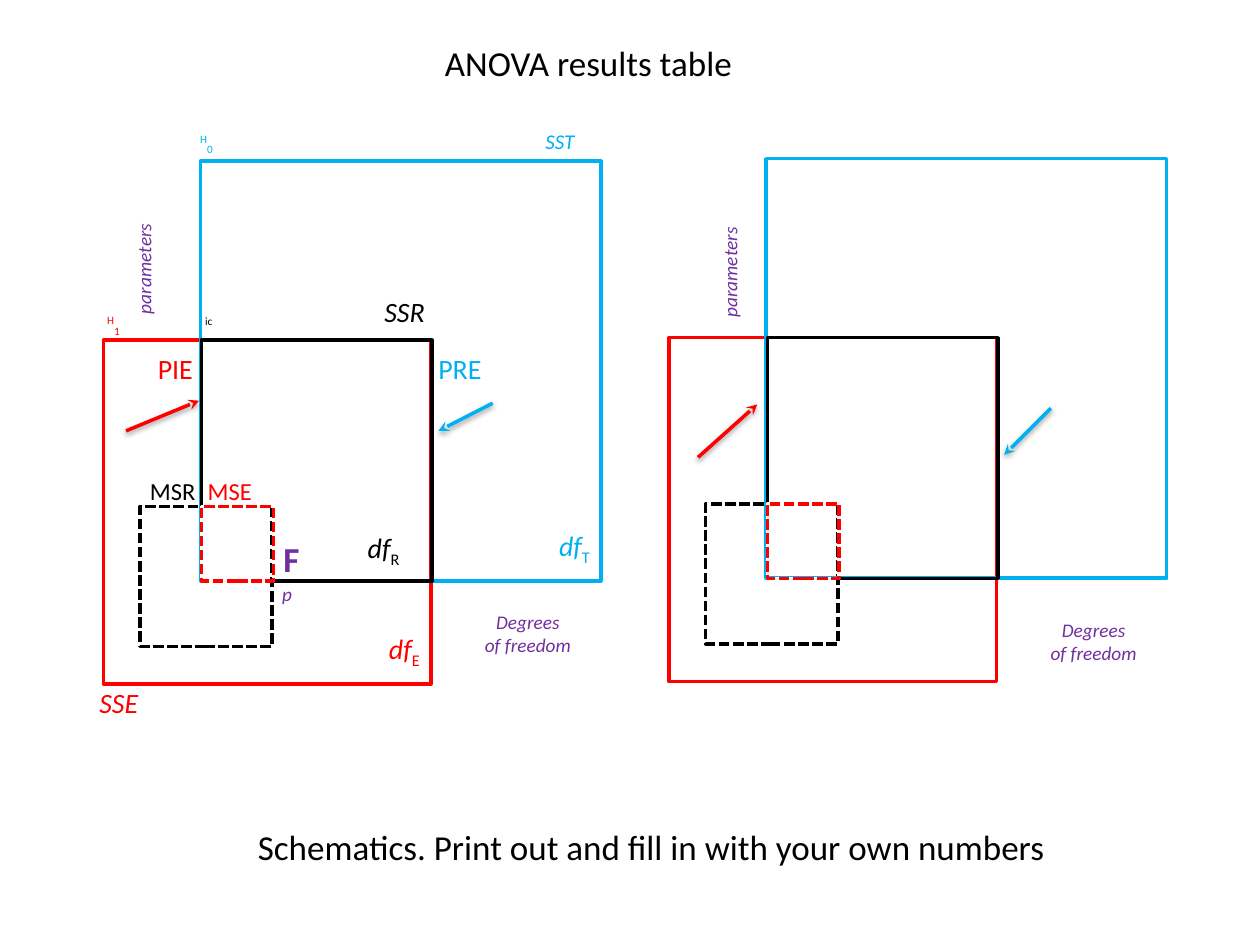
from lxml import etree
from pptx import Presentation
from pptx import util as u
from pptx.dml.color import RGBColor
from pptx.enum import dml, shapes, text
from pptx.oxml.ns import qn

HUES = {"black": "000000", "white": "FFFFFF", "red": "FF0000",
        "blue": "00B0F0", "plum": "7030A0"}
SIDES = {"l": text.PP_ALIGN.LEFT, "c": text.PP_ALIGN.CENTER, "r": text.PP_ALIGN.RIGHT}
ROWS = {"t": text.MSO_ANCHOR.TOP, "m": text.MSO_ANCHOR.MIDDLE, "b": text.MSO_ANCHOR.BOTTOM}
SHIFT = (4.49, -0.02)

LABELS = [
    ((3.38, 2.74, 0.82, 0.44), "PRE", 16, "blue", "l", "t", False),
    ((0.69, 5.39, 0.79, 0.36), "SSE", 16, "red", "l", "t", True),
    ((2.48, 2.29, 0.99, 0.36), "SSR", 16, "black", "r", "t", True),
    ((4.23, 0.97, 0.79, 0.36), "SST", 12, "blue", "l", "t", True),
    ((2.14, 4.57, 0.61, 0.43), "p", 11, "plum", "l", "t", True),
    ((1.53, 2.35, 0.63, 0.43), [("ic", 30)], 11, "black", "l", "m", False),
    ((0.81, 2.74, 0.82, 0.44), "PIE", 16, "red", "r", "t", False),
    ((1.55, 3.55, 0.9, 0.51), "MSE", 14, "red", "l", "b", False),
    ((0.77, 3.55, 0.88, 0.51), "MSR", 14, "black", "r", "b", False),
]
DEGREES = [
    ((3.84, 4.13, 0.94, 0.43), "T", "blue", "r"),
    ((2.56, 4.95, 0.87, 0.43), "E", "red", "r"),
    ((2.82, 4.15, 0.63, 0.43), "R", "black", "l"),
]
MODELS = [
    ((0.42, 2.36, 0.63, 0.43), "1", "red", "r"),
    ((1.49, 0.92, 0.63, 0.43), "0", "blue", "l"),
]
FRAMES = [
    ((0.82, 2.7, 2.6, 2.73), "red", False),
    ((1.11, 4.02, 1.05, 1.11), "black", True),
    ((1.59, 1.28, 3.18, 3.33), "blue", False),
    ((1.6, 2.7, 1.83, 1.91), "black", False),
    ((1.6, 4.02, 0.57, 0.59), "white", False),
    ((1.6, 4.02, 0.57, 0.59), "red", True),
]
ARROWS = [
    ((8.34, 3.24), (7.97, 3.61), "blue"),
    ((5.54, 3.63), (6.01, 3.21), "red"),
    ((3.91, 3.2), (3.48, 3.42), "blue"),
    ((1, 3.42), (1.58, 3.18), "red"),
]


class Sheet:
    """Hold the style and the current slide, and draw each kind of element."""

    face = "Calibri"
    weight = u.Pt(2)

    def __init__(self, slide):
        self.slide = slide

    def hue(self, name):
        return RGBColor.from_string(HUES[name])

    def style(self, run, size, hue, slant=False, bold=False):
        font = run.font
        font.name, font.size = self.face, u.Pt(size)
        font.italic, font.bold = slant, bold
        font.color.rgb = self.hue(hue)

    def rect(self, box):
        item = self.slide.shapes.add_shape(
            shapes.MSO_SHAPE.RECTANGLE, *map(u.Inches, box))
        item.shadow.inherit = False
        return item

    def label(self, box, words, size, hue, side="l", row="t", slant=False,
              bold=False, turn=0):
        item = self.rect(box)
        item.rotation = turn
        item.fill.solid()
        item.fill.fore_color.rgb = self.hue("white")
        item.line.fill.background()
        frame = item.text_frame
        frame.vertical_anchor = ROWS[row]
        if isinstance(words, str):
            frame.text = words
        else:
            for part, base in words:
                run = frame.paragraphs[0].add_run()
                run.text = part
                if base:
                    run._r.get_or_add_rPr().set("baseline", str(base * 1000))
        for para in frame.paragraphs:
            para.alignment = SIDES[side]
            for spot, run in enumerate(para.runs):
                self.style(run, size, hue, slant and spot == 0, bold)

    def frame(self, box, hue, dashed):
        item = self.rect(box)
        item.fill.background()
        item.line.color.rgb = self.hue(hue)
        item.line.width = self.weight
        if dashed:
            item.line.dash_style = dml.MSO_LINE.SQUARE_DOT

    def arrow(self, start, end, hue):
        item = self.slide.shapes.add_connector(
            shapes.MSO_CONNECTOR.STRAIGHT, *map(u.Inches, start + end))
        item.line.color.rgb = self.hue(hue)
        item.line.width = self.weight
        props = item._element.spPr
        etree.SubElement(props.find(qn("a:ln")), qn("a:tailEnd"), type="stealth")
        glow = etree.SubElement(props, qn("a:effectLst"))
        shade = etree.SubElement(glow, qn("a:outerShdw"), blurRad=str(u.Pt(3.1)),
                                 dist=str(u.Pt(1.6)), dir="5400000", rotWithShape="0")
        tint = etree.SubElement(shade, qn("a:srgbClr"), val=HUES["black"])
        etree.SubElement(tint, qn("a:alpha"), val="38000")

    def caption(self, item, box, words):
        item.left, item.top, item.width, item.height = map(u.Inches, box)
        frame = item.text_frame
        frame.text = words
        frame.word_wrap = True
        frame.auto_size = text.MSO_AUTO_SIZE.NONE
        frame.vertical_anchor = ROWS["t"]
        para = frame.paragraphs[0]
        para.alignment = SIDES["c"]
        self.style(para.runs[0], 20, "black")

    def title(self, box, words):
        self.caption(self.slide.shapes.title, box, words)

    def note(self, box, words):
        item = self.slide.shapes.add_textbox(*map(u.Inches, box))
        self.caption(item, box, words)


def main():
    deck = Presentation()
    deck.slide_width, deck.slide_height = u.Inches(10), u.Inches(7.5)
    sheet = Sheet(deck.slides.add_slide(deck.slide_layouts[5]))
    sheet.title((2.19, 0.28, 4.96, 0.44), "ANOVA results table")

    for left, top in ((0.43, 1.68), (5.08, 1.71)):
        sheet.label((left, top, 1.48, 0.34), "parameters", 11, "plum",
                    slant=True, turn=270)
    for left, top in ((3.6, 4.79), (8.09, 4.86)):
        sheet.label((left, top, 1.18, 0.48), "Degrees\nof freedom", 11, "plum",
                    "c", slant=True)
    sheet.label((2.15, 4.04, 0.76, 0.61), "F", 20, "plum", row="b", bold=True)
    for box, sub, hue, side in DEGREES:
        sheet.label(box, [("df", 0), (sub, -25)], 16, hue, side, "m", True)
    for box, sub, hue, side in MODELS:
        sheet.label(box, [("H", 30), (sub, -25)], 11, hue, side, "m")
    for row in LABELS:
        sheet.label(*row)

    for across, down in ((0, 0), SHIFT):
        for (left, top, wide, high), hue, dashed in FRAMES:
            sheet.frame((left + across, top + down, wide, high), hue, dashed)
    for row in ARROWS:
        sheet.arrow(*row)

    sheet.note((1.92, 6.5, 6.5, 0.44),
               "Schematics. Print out and fill in with your own numbers")
    deck.save("out.pptx")


if __name__ == "__main__":
    main()
